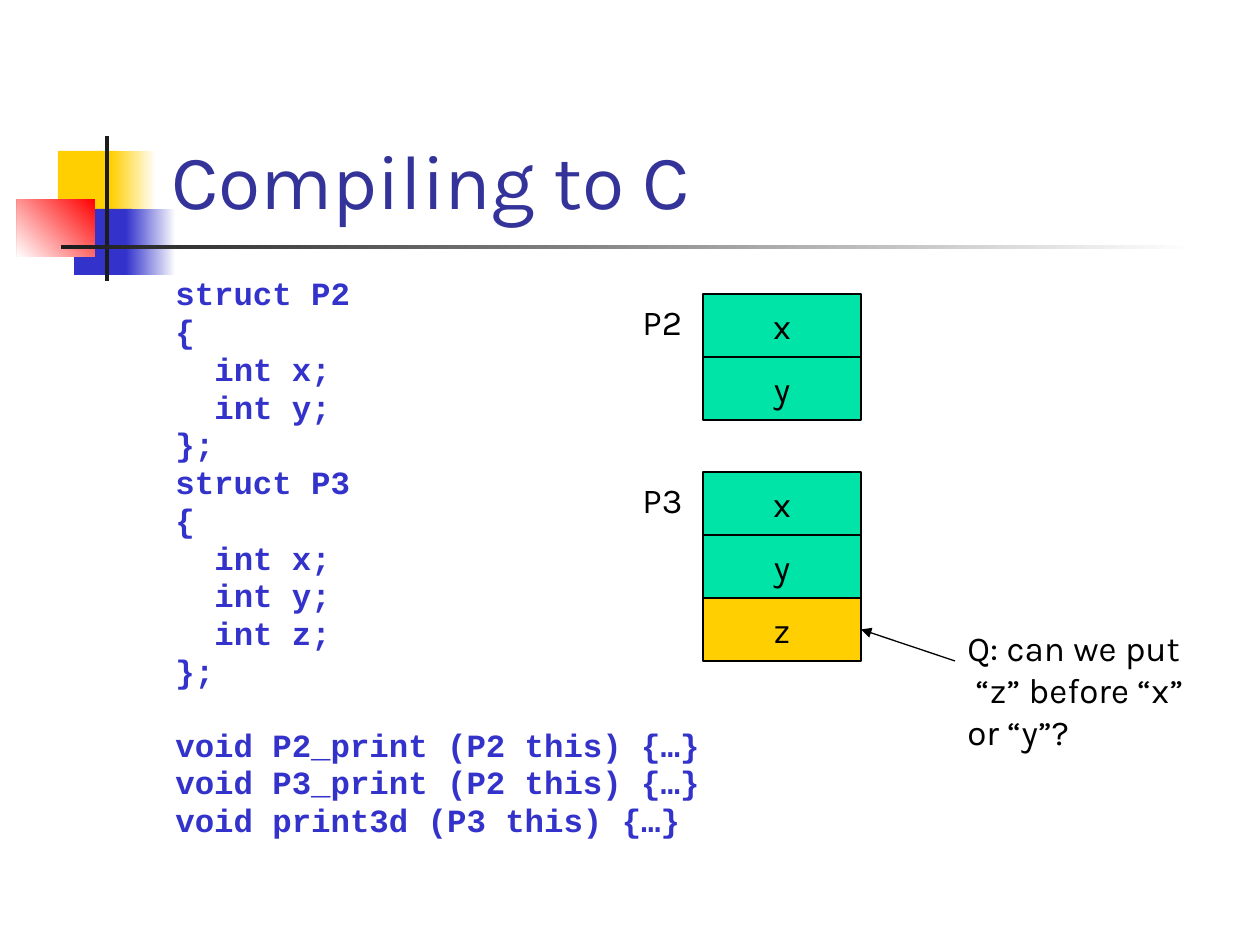
"""Builds the slide on compiling structs to C."""
import pptx
import pptx.dml.color
import pptx.enum.shapes
import pptx.enum.text
import pptx.oxml
import pptx.oxml.ns
import pptx.util

COLORS = {
    "yellow": "FFCF01", "blue": "3333CC", "red": "FF0000", "dark": "1C1C1C",
    "title": "333399", "green": "00E4A8", "black": "000000", "white": "FFFFFF",
}
PX = 914400 / 126
CODE = [
    "struct P2", "{", "  int x;", "  int y;", "};",
    "struct P3", "{", "  int x;", "  int y;", "  int z;", "};", "",
    "void P2_print (P2 this) {…}",
    "void P3_print (P2 this) {…}",
    "void print3d (P3 this) {…}",
]
DECORATION = [
    (58, 151, 60, 66, "yellow", None),
    (111, 151, 45, 66, "yellow", 0),
    (74, 209, 58, 66, "blue", None),
    (126, 209, 50, 66, "blue", 0),
    (17, 199, 78, 58, "red", 225),
    (105, 136, 4, 145, "dark", None),
    (61, 245, 1134, 4, "dark", 0),
]


def emu(px):
    return pptx.util.Emu(round(px * PX))


def rgb(name):
    return pptx.dml.color.RGBColor.from_string(COLORS[name])


class Deck:
    """Holds the style and the current slide."""

    font, code_font = "Karla", "Courier New"
    size, code_size, line_width = 20, 18.5, 0.75

    def __init__(self, prs):
        self.s = prs.slides.add_slide(prs.slide_layouts[6])

    def format(self, p, size, color, font=None, bold=False):
        for r in p.runs:
            r.font.size = pptx.util.Pt(size)
            r.font.name = font or self.font
            r.font.bold = bold
            r.font.color.rgb = rgb(color)

    def rect(self, x, y, w, h, color, angle=None):
        sp = self.s.shapes.add_shape(
            pptx.enum.shapes.MSO_SHAPE.RECTANGLE, *map(emu, (x, y, w, h)))
        sp.shadow.inherit = False
        sp.line.fill.background()
        if angle is None:
            sp.fill.solid()
            sp.fill.fore_color.rgb = rgb(color)
        else:
            sp.fill.gradient()
            sp.fill.gradient_angle = angle
            for stop, name in zip(sp.fill.gradient_stops, (color, "white")):
                stop.color.rgb = rgb(name)
        return sp

    def cell(self, x, y, w, h, text, color):
        sp = self.rect(x, y, w, h, color)
        sp.line.color.rgb = rgb("black")
        sp.line.width = pptx.util.Pt(self.line_width)
        tf = sp.text_frame
        tf.text = text
        tf.word_wrap = False
        tf.vertical_anchor = pptx.enum.text.MSO_ANCHOR.MIDDLE
        p = tf.paragraphs[0]
        p.alignment = pptx.enum.text.PP_ALIGN.CENTER
        self.format(p, self.size, "black")
        return sp

    def text(self, x, y, w, h, text, size=None, color="black", anchor="TOP"):
        tf = self.s.shapes.add_textbox(*map(emu, (x, y, w, h))).text_frame
        tf.word_wrap = True
        tf.vertical_anchor = pptx.enum.text.MSO_ANCHOR[anchor]
        tf.text = text
        for p in tf.paragraphs:
            self.format(p, size or self.size, color)
        return tf

    def code(self, x, y, w, h, lines, indent=39, space=6, blank=20.5):
        tf = self.text(x, y, w, h, "\n".join(filter(None, lines)))
        before = space
        paragraphs = iter(tf.paragraphs)
        for line in lines:
            if not line:
                before += blank
                continue
            p = next(paragraphs)
            p.text = line.strip()
            p.line_spacing = 0.7
            p.space_before = pptx.util.Pt(before)
            before = space
            if line.startswith(" "):
                p._p.get_or_add_pPr().set("marL", str(emu(indent)))
            self.format(p, self.code_size, "blue", self.code_font, True)

    def arrow(self, x, y, target, site):
        c = self.s.shapes.add_connector(
            pptx.enum.shapes.MSO_CONNECTOR.STRAIGHT, emu(x), emu(y), emu(x), emu(y))
        c.end_connect(target, site)
        c.line.color.rgb = rgb("black")
        c.line.width = pptx.util.Pt(self.line_width)
        ns = pptx.oxml.ns.nsdecls("a")
        c.line._get_or_add_ln().append(
            pptx.oxml.parse_xml(f'<a:tailEnd {ns} type="triangle"/>'))
        c._element.spPr.append(pptx.oxml.parse_xml(f"<a:effectLst {ns}/>"))


def main():
    prs = pptx.Presentation()
    prs.slide_width, prs.slide_height = emu(1260), emu(945)
    deck = Deck(prs)
    for part in DECORATION:
        deck.rect(*part)
    deck.text(159, 29, 1074, 202, "Compiling to C", 44, "title", "BOTTOM")
    deck.code(163, 278, 1071, 567, CODE)
    for name, top, fields in (("P2", 294, "xy"), ("P3", 472, "xyz")):
        deck.text(630, top, 84, 55, name)
        for i, field in enumerate(fields):
            color = "yellow" if field == "z" else "green"
            last = deck.cell(703, top + 63 * i, 158, 63, field, color)
    deck.text(955, 620, 242, 181, "Q: can we put\v “z” before “x” or “y”?")
    deck.arrow(955, 661, last, 3)
    prs.save("out.pptx")


if __name__ == "__main__":
    main()
